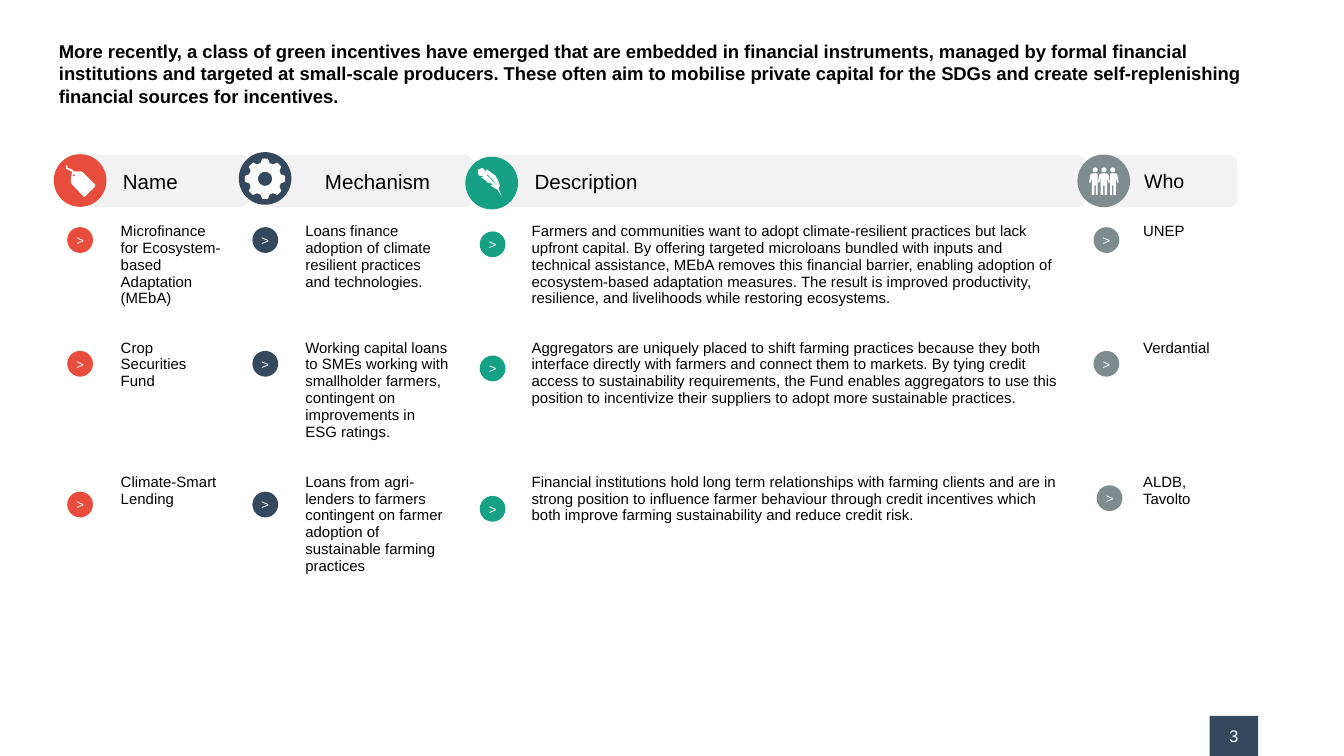
"""Build the slide on green incentives embedded in financial instruments."""
import math

from pptx import Presentation
from pptx.dml.color import RGBColor
from pptx.enum import shapes, text
from pptx.util import Pt

RED = RGBColor(0xE7, 0x4C, 0x3C)
NAVY = RGBColor(0x34, 0x49, 0x5E)
GREEN = RGBColor(0x16, 0xA0, 0x85)
GREY = RGBColor(0x7F, 0x8C, 0x8D)
PALE = RGBColor(0xF2, 0xF2, 0xF2)
WHITE = RGBColor(0xFF, 0xFF, 0xFF)
BLACK = RGBColor(0, 0, 0)
LEFT, CENTER = text.PP_ALIGN.LEFT, text.PP_ALIGN.CENTER
OVAL = shapes.MSO_SHAPE.OVAL
RECTANGLE = shapes.MSO_SHAPE.RECTANGLE
ROUNDED = shapes.MSO_SHAPE.ROUNDED_RECTANGLE

deck = Presentation()
deck.slide_width, deck.slide_height = Pt(720), Pt(405)
page = deck.slides.add_slide(deck.slide_layouts[6])


def add_block(kind, left, top, width, height, color, words="", size=7,
              ink=WHITE, align=CENTER, insets=(0, 0)):
    block = page.shapes.add_shape(kind, Pt(left), Pt(top), Pt(width), Pt(height))
    block.shadow.inherit = False
    block.fill.solid()
    block.fill.fore_color.rgb = color
    block.line.fill.background()
    if words:
        frame = block.text_frame
        frame.margin_left, frame.margin_right = Pt(insets[0]), Pt(insets[1])
        frame.margin_top = frame.margin_bottom = 0
        frame.vertical_anchor = text.MSO_ANCHOR.MIDDLE
        para = frame.paragraphs[0]
        para.text, para.alignment = words, align
        para.font.name, para.font.size = "Arial", Pt(size)
        para.font.color.rgb = ink
    return block


def add_icon(*contours):
    scaled = [[(x * 100, y * 100) for x, y in contour] for contour in contours]
    builder = page.shapes.build_freeform(*scaled[0][0], scale=Pt(1) / 100)
    for contour in scaled:
        builder.move_to(*contour[0])
        builder.add_line_segments(contour[1:], close=True)
    icon = builder.convert_to_shape()
    icon.shadow.inherit = False
    icon.fill.solid()
    icon.fill.fore_color.rgb = WHITE
    icon.line.fill.background()


title = page.shapes.add_textbox(Pt(24.5), Pt(14.4), Pt(671), Pt(45.4))
title.text_frame.word_wrap = True
for side in ("left", "right", "top", "bottom"):
    setattr(title.text_frame, f"margin_{side}", Pt(7.2))
para = title.text_frame.paragraphs[0]
para.text = (
    "More recently, a class of green incentives have emerged that are embedded in "
    "financial instruments, managed by formal financial institutions and targeted at "
    "small-scale producers. These often aim to mobilise private capital for the SDGs "
    "and create self-replenishing financial sources for incentives.")
para.font.name, para.font.size, para.font.bold = "Arial", Pt(9.9), True
para.font.color.rgb = BLACK

INCENTIVES = [
    ("Microfinance for Ecosystem-based Adaptation (MEbA)",
     "Loans finance adoption of climate resilient practices and technologies.",
     "Farmers and communities want to adopt climate-resilient practices but lack "
     "upfront capital. By offering targeted microloans bundled with inputs and "
     "technical assistance, MEbA removes this financial barrier, enabling adoption of "
     "ecosystem-based adaptation measures. The result is improved productivity, "
     "resilience, and livelihoods while restoring ecosystems.",
     "UNEP"),
    ("Crop Securities Fund",
     "Working capital loans to SMEs working with smallholder farmers, contingent on "
     "improvements in ESG ratings.",
     "Aggregators are uniquely placed to shift farming practices because they both "
     "interface directly with farmers and connect them to markets. By tying credit "
     "access to sustainability requirements, the Fund enables aggregators to use this "
     "position to incentivize their suppliers to adopt more sustainable practices.",
     "Verdantial"),
    ("Climate-Smart Lending",
     "Loans from agri-lenders to farmers contingent on farmer adoption of sustainable "
     "farming practices",
     "Financial institutions hold long term relationships with farming clients and are "
     "in strong position to influence farmer behaviour through credit incentives which "
     "both improve farming sustainability and reduce credit risk.",
     "ALDB, Tavolto"),
]
WIDTHS = [29.5, 68.5, 30.4, 91.8, 29.5, 298.6, 29, 58]
HEIGHTS = [29.5, 62, 70, 88]
table = page.shapes.add_table(len(HEIGHTS), len(WIDTHS), Pt(28), Pt(82.8),
                              Pt(sum(WIDTHS)), Pt(sum(HEIGHTS))).table
table.first_row = table.horz_banding = False
for column, width in zip(table.columns, WIDTHS):
    column.width = Pt(width)
for row, height in zip(table.rows, HEIGHTS):
    row.height = Pt(height)
for cell in table.iter_cells():
    cell.fill.background()
for row, incentive in enumerate(INCENTIVES, 1):
    for field, words in enumerate(incentive):
        cell = table.cell(row, 2 * field + 1)
        cell.margin_left = cell.margin_right = Pt(7.2)
        cell.margin_top = cell.margin_bottom = Pt(7.2)
        para = cell.text_frame.paragraphs[0]
        para.text = words
        para.font.name, para.font.size = "Arial", Pt(8)
        para.font.color.rgb = BLACK

DISC, BADGE = 28.2, 13.8
HEADERS = [
    ("Name", 11, LEFT, (20.4, 0), RED, 44, 89.2, (28.8, 82.6),
     [(36, 121.7), (36, 188), (36, 263.4)]),
    ("Mechanism", 11, CENTER, (19.2, 7.2), NAVY, 139, 114.5, (127.9, 81.5),
     [(135.2, 121.7), (135.2, 188), (135.2, 263.4)]),
    ("Description", 11, LEFT, (28, 0), GREEN, 257, 324.7, (249.3, 84),
     [(257, 124), (257, 190.5), (257, 265.7)]),
    ("Who", 10.5, LEFT, (20.5, 0), GREY, 591.1, 72, (577.2, 82.8),
     [(585.8, 121.7), (585.8, 188), (587.5, 260)]),
]
for label, size, align, insets, color, left, width, disc, badges in HEADERS:
    bar = add_block(ROUNDED, left, 82.8, width, 28.2, PALE, label, size, BLACK,
                    align, insets)
    bar.adjustments[0] = 0.17
    add_block(OVAL, *disc, DISC, DISC, color)
    for badge in badges:
        add_block(OVAL, *badge, BADGE, BADGE, color, ">")

TAG = [(38.2, 94.3), (38.2, 97.9), (38.5, 98.7), (44.6, 105.1), (45.2, 105.6),
       (45.8, 105.1), (51, 99.9), (51, 98.9), (44.6, 92.4), (43.7, 91.9),
       (39.7, 91.9), (38.5, 90.7), (37.4, 90.4), (36.2, 89.9), (36, 88.6),
       (35.4, 88.6), (35.5, 90.4), (37.2, 91.4), (38.7, 92)]
TAG_HOLE = [(39.6, 93.3), (40.3, 94), (39.6, 94.7), (38.9, 94)]
add_icon(TAG, TAG_HOLE)

FEATHER = [(268.6, 105.1), (267.8, 103.7), (266.4, 101.5), (265, 100.8),
           (262.8, 99.4), (264.2, 98.6), (261.4, 97.9), (259.9, 96.5),
           (257.8, 95), (259.2, 94.3), (257, 94.3), (256, 93.2), (256.3, 90.7),
           (258.5, 90), (259.9, 91.4), (260.6, 92.2), (260.6, 90.7),
           (262.8, 92.2), (265.7, 94.3), (266.4, 96.5), (266.5, 95.8),
           (267.8, 99.4), (267.1, 100.8), (264.2, 96.5), (261.4, 93.6),
           (260.6, 93.6), (262.8, 95.8), (267.1, 100.8)]
add_icon(FEATHER)

polar = [(tooth * 45 + turn, radius) for tooth in range(8)
         for turn, radius in ((-16, 8.8), (-8, 10.9), (8, 10.9), (16, 8.8))]
hole = [(-turn, 3.8) for turn in range(0, 360, 15)]
add_icon(*[[(142 + radius * math.cos(math.radians(turn)),
             95.8 + radius * math.sin(math.radians(turn))) for turn, radius in ring]
           for ring in (polar, hole)])

HALF_BODY = [(1.4, 92.9), (2.5, 93.6), (3.2, 97.6), (2.7, 98), (2.4, 97.8),
             (1.7, 95), (1.7, 104.4), (0.4, 104.4), (0.4, 99.4)]
for middle, left_reach, right_reach in ((586.7, 3.2, 1.4), (591.4, 3.2, 3.2),
                                        (596.1, 1.4, 3.2)):
    add_block(OVAL, middle - 1.35, 89.7, 2.7, 2.7, WHITE)
    right_half = [(middle + min(x, right_reach), y) for x, y in HALF_BODY]
    left_half = [(middle - min(x, left_reach), y) for x, y in reversed(HALF_BODY)]
    add_icon(right_half + left_half)

add_block(RECTANGLE, 648, 383.5, 26, 21.5, NAVY, "3", 9)

deck.save("out.pptx")
